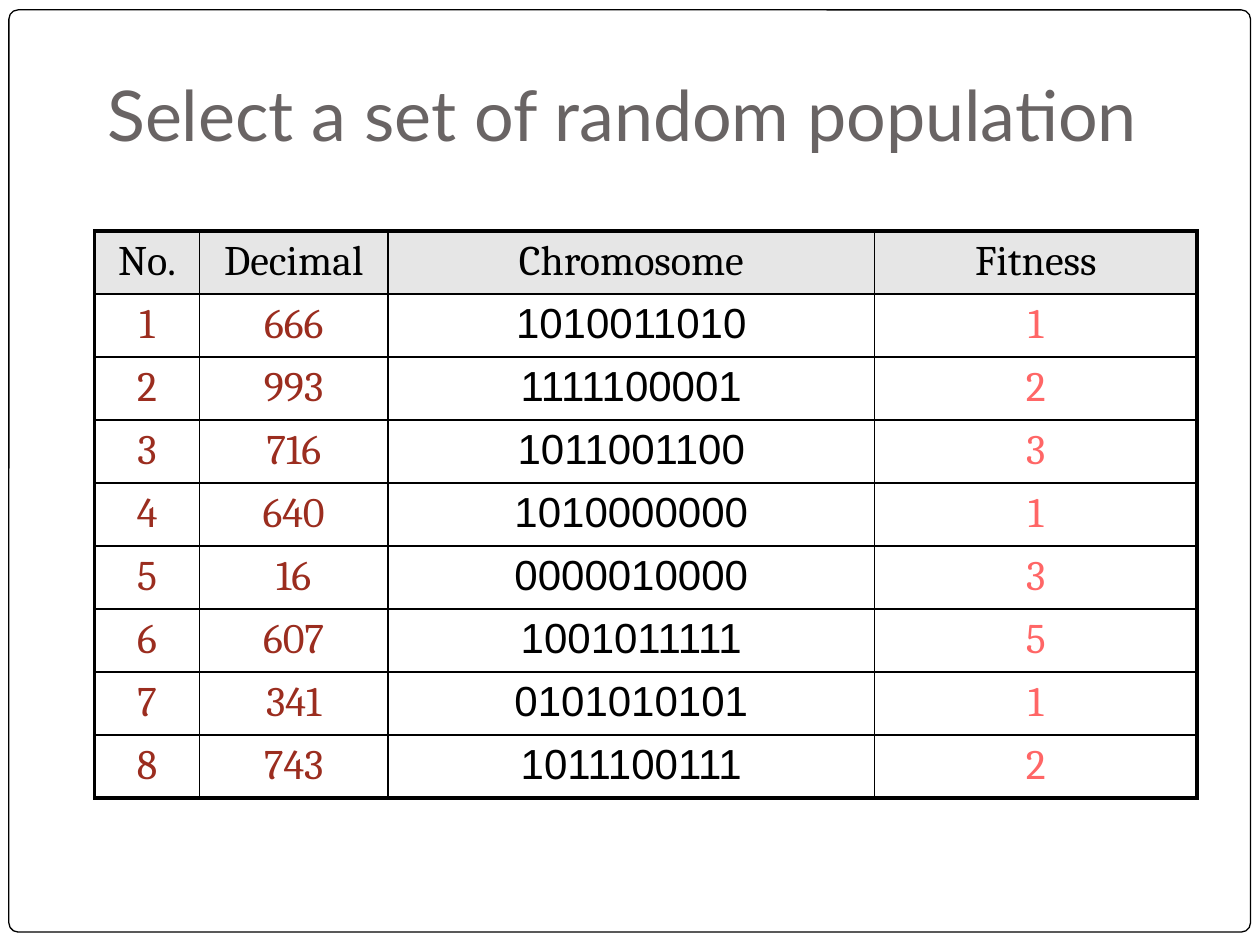
import lxml.etree
import pptx
import pptx.dml.color
import pptx.enum.shapes
import pptx.enum.text
import pptx.oxml.ns
import pptx.util

Cm, Pt = pptx.util.Cm, pptx.util.Pt

COLORS = {
    "paper": "FFFFFF",
    "ink": "000000",
    "title": "696464",
    "header": "E6E6E6",
    "number": "9B2D1F",
    "fitness": "FF6666",
}

HEADERS = ["No.", "Decimal", "Chromosome", "Fitness"]
POPULATION = [
    ("666", "1010011010", "1"),
    ("993", "1111100001", "2"),
    ("716", "1011001100", "3"),
    ("640", "1010000000", "1"),
    ("16", "0000010000", "3"),
    ("607", "1001011111", "5"),
    ("341", "0101010101", "1"),
    ("743", "1011100111", "2"),
]
COLUMNS = [
    (2.11, "Cambria", "number"),
    (3.8, "Cambria", "number"),
    (9.81, "Arial", "ink"),
    (6.5, "Cambria", "fitness"),
]
ROW_HEIGHT = 1.27
LEFT = 1.91


def rgb(name):
    return pptx.dml.color.RGBColor.from_string(COLORS[name])


def style_font(p, name, size, color):
    for r in p.runs:
        r.font.name = name
        r.font.size = Pt(size)
        r.font.color.rgb = rgb(color)


def add_title(s, text):
    title = s.shapes.title
    title.left, title.top, title.width, title.height = Cm(LEFT), Cm(1.27), Cm(21.59), Cm(2.12)
    tf = title.text_frame
    tf.text = text
    tf.auto_size = pptx.enum.text.MSO_AUTO_SIZE.NONE
    tf.vertical_anchor = pptx.enum.text.MSO_ANCHOR.BOTTOM
    tf.margin_bottom = Cm(0.25)
    p = tf.paragraphs[0]
    p.alignment = pptx.enum.text.PP_ALIGN.LEFT
    style_font(p, "Lato", 40, "title")


def add_frame(s):
    frame = s.shapes.add_shape(
        pptx.enum.shapes.MSO_SHAPE.ROUNDED_RECTANGLE, Cm(0.18), Cm(0.2), Cm(25.03), Cm(18.59))
    frame.adjustments[0] = 0.01
    frame.shadow.inherit = False
    frame.fill.solid()
    frame.fill.fore_color.rgb = rgb("paper")
    frame.line.color.rgb = rgb("ink")
    frame.line.width = Pt(0.75)
    s.shapes.title.element.addprevious(frame.element)


def set_borders(cell, outer_sides):
    tcPr = cell._tc.get_or_add_tcPr()
    qn = pptx.oxml.ns.qn
    for side in "LRTB":
        width = Pt(2.25 if side in outer_sides else 1)
        ln = lxml.etree.SubElement(tcPr, qn(f"a:ln{side}"), w=str(width))
        fill = lxml.etree.SubElement(ln, qn("a:solidFill"))
        lxml.etree.SubElement(fill, qn("a:srgbClr"), val=COLORS["ink"])


def fill_cell(cell, text, font, color, is_header):
    cell.text = text
    p = cell.text_frame.paragraphs[0]
    p.alignment = pptx.enum.text.PP_ALIGN.CENTER
    style_font(p, font, 24, color)
    if is_header:
        cell.fill.solid()
        cell.fill.fore_color.rgb = rgb("header")
    else:
        cell.fill.background()


def add_population_table(s):
    rows = [HEADERS] + [(str(i), *row) for i, row in enumerate(POPULATION, 1)]
    last_row, last_col = len(rows) - 1, len(COLUMNS) - 1
    width = sum(column[0] for column in COLUMNS)
    table = s.shapes.add_table(
        len(rows), len(COLUMNS), Cm(LEFT), Cm(4.66), Cm(width), Cm(ROW_HEIGHT * len(rows))).table
    table.first_row = table.horz_banding = False
    for row in table.rows:
        row.height = Cm(ROW_HEIGHT)
    for j, (col_width, font, color) in enumerate(COLUMNS):
        table.columns[j].width = Cm(col_width)
        for i, row in enumerate(rows):
            cell = table.cell(i, j)
            edges = {"L": j == 0, "R": j == last_col, "T": i == 0, "B": i == last_row}
            set_borders(cell, [side for side, is_outer in edges.items() if is_outer])
            is_header = i == 0
            fill_cell(cell, row[j], "Cambria" if is_header else font,
                      "ink" if is_header else color, is_header)


def main():
    prs = pptx.Presentation()
    prs.slide_width, prs.slide_height = Cm(25.4), Cm(19.05)
    s = prs.slides.add_slide(prs.slide_layouts[5])
    add_frame(s)
    add_title(s, "Select a set of random population")
    add_population_table(s)
    prs.save("out.pptx")


if __name__ == "__main__":
    main()
